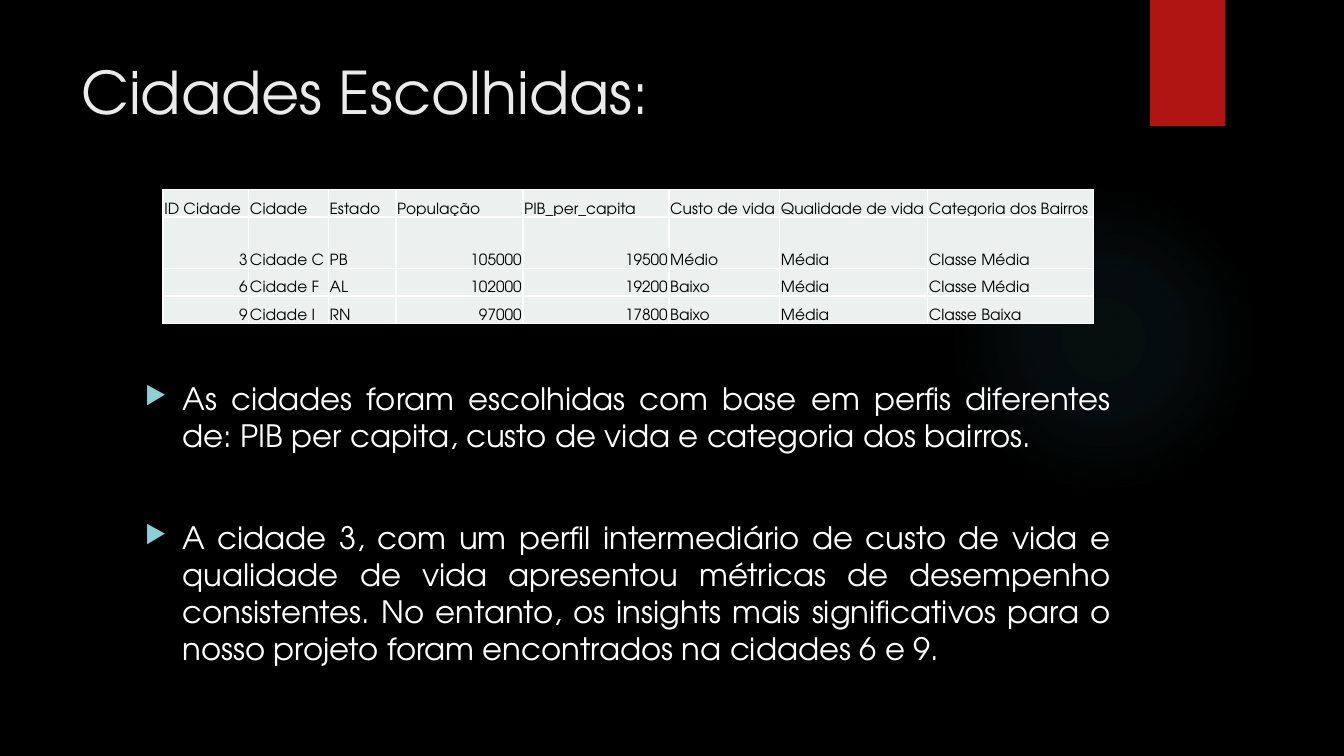
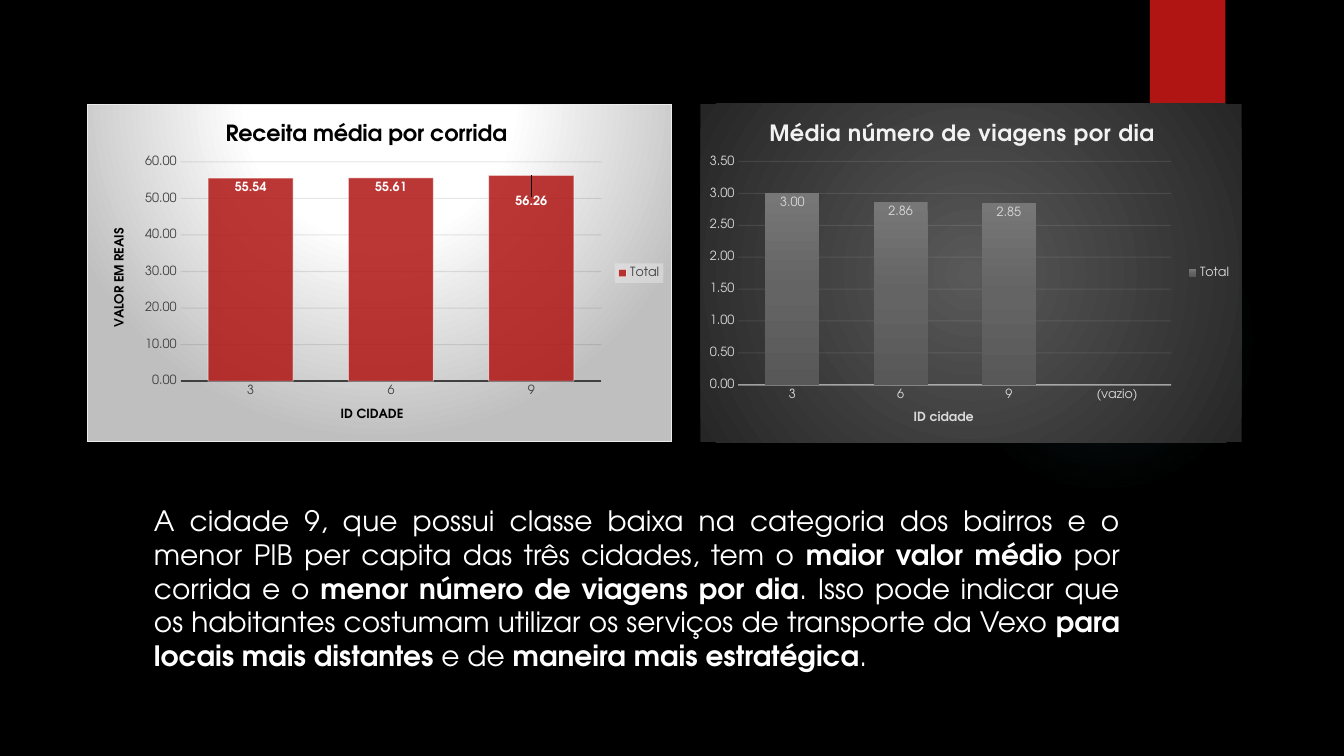
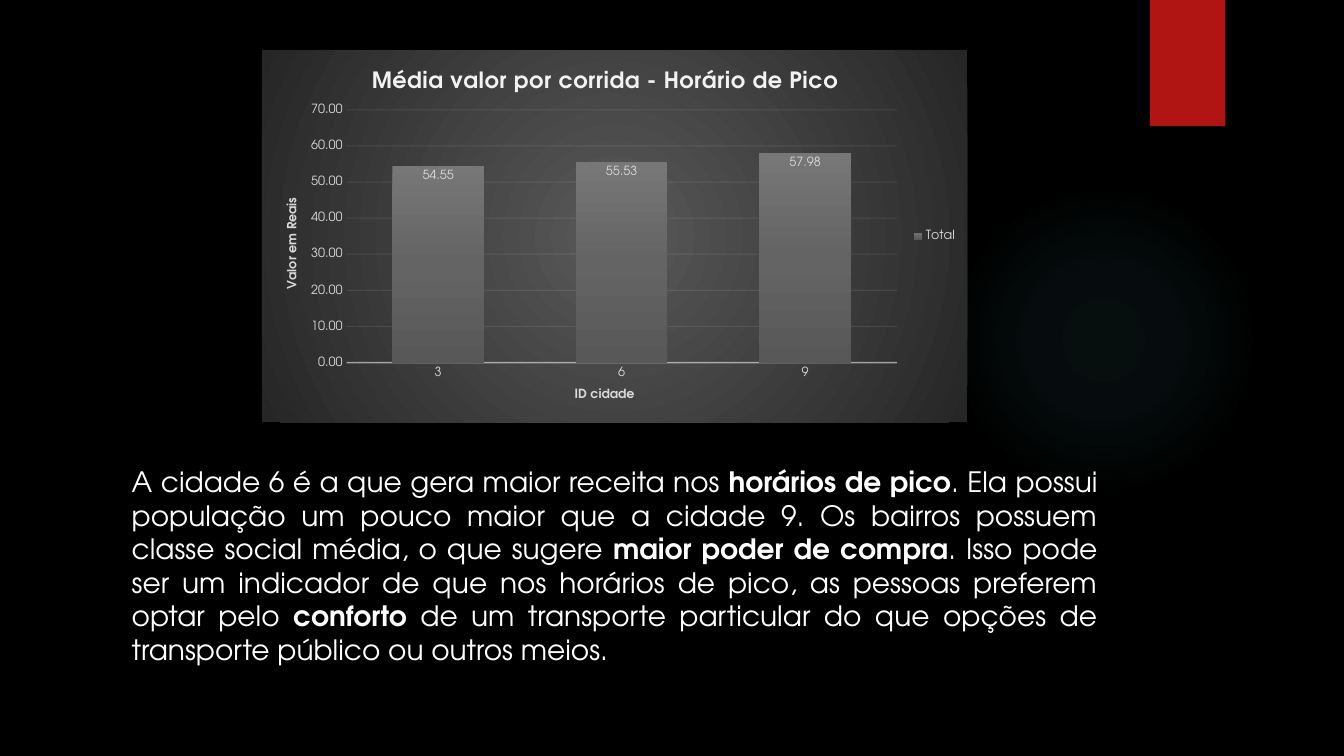
from dataclasses import dataclass
from typing import NamedTuple, Optional

from lxml import etree
from pptx import Presentation
from pptx.chart.data import CategoryChartData as Data
from pptx.dml.color import RGBColor as RGB
from pptx.enum.chart import XL_CHART_TYPE as Kind, XL_LABEL_POSITION as Spot
from pptx.enum.chart import XL_LEGEND_POSITION as Side, XL_TICK_MARK as Tick
from pptx.enum.shapes import MSO_SHAPE as Form
from pptx.enum.text import MSO_ANCHOR as Anchor, PP_ALIGN as Align
from pptx.oxml import parse_xml
from pptx.oxml.ns import nsdecls, qn
from pptx.util import Cm, Pt

# Colours and font
BLACK = RGB(0x00, 0x00, 0x00)
WHITE = RGB(0xFF, 0xFF, 0xFF)
PALE = RGB(0xEB, 0xEB, 0xEB)
RED = RGB(0xB0, 0x15, 0x13)
TEAL = RGB(0x50, 0xB9, 0xC1)
AQUA = RGB(0x8A, 0xD0, 0xD6)
MINT = RGB(0xEB, 0xF1, 0xEE)
INK = RGB(0x40, 0x40, 0x40)
COAL = RGB(0x0D, 0x0D, 0x0D)
MIST = RGB(0xF2, 0xF2, 0xF2)
SILVER = RGB(0xD9, 0xD9, 0xD9)
GREY = RGB(0xBF, 0xBF, 0xBF)
DUSK = RGB(0x59, 0x59, 0x59)
NIGHT = RGB(0x26, 0x26, 0x26)
BAR_TOP = RGB(0x77, 0x77, 0x77)
BAR_MID = RGB(0x64, 0x64, 0x64)
BAR_LOW = RGB(0x58, 0x58, 0x58)
FONT = "TeX Gyre Adventor"


class Box(NamedTuple):
    x: float
    y: float
    w: float
    h: float


class Stop(NamedTuple):
    pos: int
    color: RGB
    alpha: int = 100


class Look(NamedTuple):
    """Colours and bar style of a chart."""
    back: tuple[Stop, ...]
    rect: tuple[int, int, int, int]
    head: RGB
    name: RGB
    tick: RGB
    label: RGB
    bold: bool
    axis: RGB
    thick: float
    fade: int
    grid: RGB
    veil: int
    gap: int
    lap: int
    spread: int
    light: bool


@dataclass
class Graph:
    """One column chart; places are fractions of its area."""
    box: Box
    look: Look
    title: str
    cats: tuple[str, ...]
    vals: tuple[Optional[float], ...]
    top: float
    step: float
    plot: Box
    head: tuple[float, float]
    foot: tuple[float, float]
    cat: str = "ID cidade"
    val: str = ""
    side: tuple[float, float] = (0, 0)


MIDDLE = (50, 50, 50, 50)
LIGHT = Look((Stop(0, WHITE), Stop(39, WHITE), Stop(100, GREY)), (50, -80, 50, 180),
             BLACK, BLACK, INK, WHITE, True, INK, 1.5, 100, COAL, 10, 65, 0, 0, True)
DARK = Look((Stop(0, DUSK), Stop(100, NIGHT)), MIDDLE,
            MIST, SILVER, SILVER, SILVER, False, MIST, 1, 54, MIST, 10, 100, -24, 50, False)


# XML helpers
def blend(stops: tuple[Stop, ...], rect: Optional[tuple[int, int, int, int]] = None) -> etree._Element:
    """Gradient fill: circular towards rect, else from top to bottom."""
    marks = "".join(
        f'<a:gs pos="{s.pos * 1000}"><a:srgbClr val="{s.color}">'
        f'<a:alpha val="{s.alpha * 1000}"/></a:srgbClr></a:gs>' for s in stops)
    if rect:
        sides = " ".join(f'{k}="{v * 1000}"' for k, v in zip("ltrb", rect))
        way = f'<a:path path="circle"><a:fillToRect {sides}/></a:path>'
    else:
        way = '<a:lin ang="5400000" scaled="0"/>'
    return parse_xml(f'<a:gradFill {nsdecls("a")} rotWithShape="1">'
                     f'<a:gsLst>{marks}</a:gsLst>{way}</a:gradFill>')


def swap(props: etree._Element, fill: etree._Element) -> None:
    props.replace(props.find(qn("a:solidFill")), fill)


def dim(root: etree._Element, route: str, alpha: int) -> None:
    for color in root.xpath(route + "/a:srgbClr"):
        etree.SubElement(color, qn("a:alpha")).set("val", str(alpha * 1000))


def place(host: etree._Element, *nums: float, edge: bool = True) -> None:
    """Give a chart part a fixed place (x, y) or (x, y, w, h)."""
    for old in host.findall(qn("c:layout")):
        host.remove(old)
    tags = [("layoutTarget", "inner")] if len(nums) == 4 else []
    tags += [("xMode", "edge"), ("yMode", "edge")] if edge else []
    tags += list(zip("xywh", nums))
    body = "".join(f'<c:{tag} val="{val}"/>' for tag, val in tags)
    node = parse_xml(f'<c:layout {nsdecls("c")}><c:manualLayout>{body}</c:manualLayout></c:layout>')
    first = [kid for kid in host if kid.tag in (qn("c:tx"), qn("c:idx"))]
    host.insert(len(first), node)


# Text
def style(font, size: float, color: RGB, bold: bool = False) -> None:
    font.name, font.size, font.bold = FONT, Pt(size), bold
    font.color.rgb = color


def write(par, text: str, size: float, color: RGB, bold: bool = False) -> None:
    """Add runs; asterisks switch bold on and off."""
    for i, part in enumerate(text.split("*")):
        run = par.add_run()
        run.text = part
        style(run.font, size, color, bold or i % 2 == 1)


def add_text(slide, box: Box, texts: list[str], size: float, color: RGB = WHITE,
             align: Align = Align.JUSTIFY, bullet: bool = False) -> None:
    frame = slide.shapes.add_textbox(*map(Cm, box)).text_frame
    frame.word_wrap = True
    for i, text in enumerate(texts):
        par = frame.add_paragraph() if i else frame.paragraphs[0]
        par.alignment = align
        par.space_before = Pt(46.4 if i else 0)
        if bullet:
            props = par._p.get_or_add_pPr()
            props.set("marL", str(Cm(0.95)))
            props.set("indent", str(-Cm(0.95)))
            for xml in (f'<a:buClr {nsdecls("a")}><a:srgbClr val="{AQUA}"/></a:buClr>',
                        f'<a:buSzPct {nsdecls("a")} val="80000"/>',
                        f'<a:buChar {nsdecls("a")} char="▶"/>'):
                props.append(parse_xml(xml))
        write(par, text, size, color)


# Shared backdrop
def add_form(slide, form: Form, box: Box, color: RGB):
    shape = slide.shapes.add_shape(form, *map(Cm, box))
    shape.shadow.inherit = False
    shape.fill.solid()
    shape.fill.fore_color.rgb = color
    shape.line.fill.background()
    return shape


def add_slide(prs):
    slide = prs.slides.add_slide(prs.slide_layouts[6])
    glow = add_form(slide, Form.OVAL, Box(23.9, 4.65, 7.82, 7.82), TEAL)
    swap(glow.element.spPr, blend((Stop(0, TEAL, 7), Stop(36, TEAL, 6), Stop(69, TEAL, 0)), MIDDLE))
    add_form(slide, Form.RECTANGLE, Box(28.98, 0, 1.9, 3.18), RED)
    return slide


# Table
def add_grid(slide, x: float, y: float, cols: list[float], rows: list[float],
             data: list[list[str]]) -> None:
    size = Box(x, y, sum(cols), sum(rows))
    table = slide.shapes.add_table(len(rows), len(cols), *map(Cm, size)).table
    table.first_row = table.horz_banding = False
    for col, width in zip(table.columns, cols):
        col.width = Cm(width)
    for row, height, texts in zip(table.rows, rows, data):
        row.height = Cm(height)
        for cell, text in zip(row.cells, texts):
            cell.margin_left = cell.margin_right = cell.margin_top = Cm(0.03)
            cell.margin_bottom = 0
            cell.vertical_anchor = Anchor.BOTTOM
            cell.fill.solid()
            cell.fill.fore_color.rgb = MINT
            props = cell._tc.get_or_add_tcPr()
            for i, side in enumerate("LRTB"):
                props.insert(i, parse_xml(
                    f'<a:ln{side} {nsdecls("a")} w="{Pt(1)}"><a:solidFill>'
                    f'<a:srgbClr val="{WHITE}"/></a:solidFill></a:ln{side}>'))
            par = cell.text_frame.paragraphs[0]
            par.alignment = Align.RIGHT if text.isdigit() else Align.LEFT
            write(par, text, 11, BLACK)


# Charts
def add_graph(slide, g: Graph) -> None:
    look = g.look
    data = Data(number_format="0.00")
    data.categories = g.cats
    data.add_series("Total", g.vals)
    chart = slide.shapes.add_chart(Kind.COLUMN_CLUSTERED, *map(Cm, g.box), data).chart
    root = chart.element
    style(chart.font, 10, WHITE)

    # Title and legend
    chart.has_title = True
    write(chart.chart_title.text_frame.paragraphs[0], g.title, 16, look.head, True)
    for props in root.xpath("c:chart/c:title//a:rPr"):
        props.set("spc", str(look.spread))
    place(root.xpath("c:chart/c:title")[0], *g.head)
    chart.has_legend = True
    chart.legend.position = Side.RIGHT
    chart.legend.include_in_layout = False
    style(chart.legend.font, 9, look.tick)

    # Axes
    cat, val = chart.category_axis, chart.value_axis
    for axis, tag, name, spot in ((cat, "catAx", g.cat, g.foot), (val, "valAx", g.val, g.side)):
        style(axis.tick_labels.font, 9, look.tick)
        axis.major_tick_mark = axis.minor_tick_mark = Tick.NONE
        axis.has_title = bool(name)
        if name:
            write(axis.axis_title.text_frame.paragraphs[0], name, 9, look.name, True)
            place(root.xpath(f".//c:{tag}/c:title")[0], *spot)
    for props in root.xpath(".//c:valAx/c:title//a:bodyPr"):
        props.set("rot", "-5400000")
        props.set("vert", "horz")
    cat.format.line.color.rgb = look.axis
    cat.format.line.width = Pt(look.thick)
    dim(root, ".//c:catAx/c:spPr/a:ln/a:solidFill", look.fade)
    val.format.line.fill.background()
    val.minimum_scale, val.maximum_scale, val.major_unit = 0, g.top, g.step
    val.tick_labels.number_format = "0.00"
    val.tick_labels.number_format_is_linked = False
    grid = val.major_gridlines.format.line
    grid.color.rgb, grid.width = look.grid, Pt(0.75)
    dim(root, ".//c:majorGridlines//a:solidFill", look.veil)

    # Columns and labels
    plot = chart.plots[0]
    plot.gap_width, plot.overlap, plot.vary_by_categories = look.gap, look.lap, False
    bars = plot.series[0]
    bars.format.fill.solid()
    bars.format.fill.fore_color.rgb = RED
    labels = bars.data_labels
    labels.show_value = True
    labels.number_format, labels.number_format_is_linked = "0.00", False
    labels.position = Spot.INSIDE_END
    style(labels.font, 9, look.label, look.bold)
    if look.light:
        bars.format.line.color.rgb = WHITE
        bars.format.line.width = Pt(0.75)
        dim(root, ".//c:ser/c:spPr/a:solidFill", 85)
        dim(root, ".//c:ser/c:spPr/a:ln/a:solidFill", 50)
        last = bars.points[len(g.vals) - 1].data_label
        style(last.font, 9, look.label, look.bold)
        last.position = Spot.INSIDE_END
        place(root.xpath(".//c:dLbl")[0], 0, 0.05, edge=False)
        root.xpath(".//c:legend/c:txPr")[0].addprevious(parse_xml(
            f'<c:spPr {nsdecls("c", "a")}><a:solidFill><a:srgbClr val="{MIST}">'
            '<a:alpha val="39000"/></a:srgbClr></a:solidFill></c:spPr>'))
    else:
        bars.format.line.fill.background()
        swap(root.xpath(".//c:ser/c:spPr")[0],
             blend((Stop(0, BAR_TOP), Stop(50, BAR_MID), Stop(100, BAR_LOW))))
    place(root.xpath(".//c:plotArea")[0], *g.plot)

    # Chart area
    edge = f'<a:solidFill><a:srgbClr val="{PALE}"/></a:solidFill>' if look.light else "<a:noFill/>"
    area = parse_xml(f'<c:spPr {nsdecls("c", "a")}><a:ln w="{Pt(0.75)}">{edge}</a:ln></c:spPr>')
    area.insert(0, blend(look.back, look.rect))
    root.find(qn("c:chart")).addnext(area)


# Slides
def cities(prs) -> None:
    slide = add_slide(prs)
    add_text(slide, Box(1.8, 1.27, 26.14, 3.89), ["Cidades Escolhidas:"], 42, PALE, Align.LEFT)
    add_text(slide, Box(3.4, 9.45, 24.84, 7.95), [
        "As cidades foram escolhidas com base em perfis diferentes de: PIB per capita, "
        "custo de vida e categoria dos bairros.",
        "A cidade 3, com um perfil intermediário de custo de vida e qualidade de vida "
        "apresentou métricas de desempenho consistentes. No entanto, os insights mais "
        "significativos para o nosso projeto foram encontrados na cidades 6 e 9.",
    ], 22, bullet=True)
    add_grid(slide, 4.11, 4.78, [2.16, 2.01, 1.7, 3.2, 3.68, 2.79, 3.73, 4.17],
             [0.69, 1.3, 0.69, 0.69], [
        ["ID Cidade", "Cidade", "Estado", "População", "PIB_per_capita",
         "Custo de vida", "Qualidade de vida", "Categoria dos Bairros"],
        ["3", "Cidade C", "PB", "105000", "19500", "Médio", "Média", "Classe Média"],
        ["6", "Cidade F", "AL", "102000", "19200", "Baixo", "Média", "Classe Média"],
        ["9", "Cidade I", "RN", "97000", "17800", "Baixo", "Média", "Classe Baixa"],
    ])


def trips(prs) -> None:
    slide = add_slide(prs)
    add_text(slide, Box(3.63, 12.57, 24.84, 5.16), [
        "A cidade 9, que possui classe baixa na categoria dos bairros e o menor PIB per "
        "capita das três cidades, tem o *maior valor médio *por corrida e o *menor número "
        "de viagens por dia*. Isso pode indicar que os habitantes costumam utilizar os "
        "serviços de transporte da Vexo *para locais mais distantes *e de *maneira mais "
        "estratégica*."], 20)
    add_graph(slide, Graph(
        Box(2.18, 2.62, 14.76, 8.53), LIGHT, "Receita média por corrida",
        ("3", "6", "9"), (55.54, 55.61, 56.26), 60, 10,
        Box(0.16, 0.17, 0.72, 0.65), (0.23, 0.04), (0.43, 0.89),
        "ID CIDADE", "VALOR EM REAIS", (0.04, 0.36)))
    add_graph(slide, Graph(
        Box(17.65, 2.62, 13.64, 8.53), DARK, "Média número de viagens por dia",
        ("3", "6", "9", "(vazio)"), (3, 2.86, 2.85, None), 3.5, 0.5,
        Box(0.07, 0.17, 0.8, 0.66), (0.12, 0.04), (0.39, 0.9)))


def peak(prs) -> None:
    slide = add_slide(prs)
    add_text(slide, Box(3.07, 11.58, 24.84, 6.22), [
        "A cidade 6 é a que gera maior receita nos *horários de pico*. Ela possui população "
        "um pouco maior que a cidade 9. Os bairros possuem classe social média, o que sugere "
        "*maior poder de compra*. Isso pode ser um indicador de que nos horários de pico, as "
        "pessoas preferem optar pelo *conforto* de um transporte particular do que opções de "
        "transporte público ou outros meios."], 20)
    add_graph(slide, Graph(
        Box(6.6, 1.27, 17.78, 9.37), DARK, "Média valor por corrida - Horário de Pico",
        ("3", "6", "9"), (54.55, 55.53, 57.98), 70, 10,
        Box(0.12, 0.16, 0.78, 0.68), (0.15, 0.04), (0.44, 0.9),
        val="Valor em Reais", side=(0.03, 0.39)))


def main() -> None:
    prs = Presentation()
    prs.slide_width, prs.slide_height = Cm(33.87), Cm(19.05)
    back = prs.slide_master.background.fill
    back.solid()
    back.fore_color.rgb = BLACK
    for build in (cities, trips, peak):
        build(prs)
    prs.save("out.pptx")


if __name__ == "__main__":
    main()
